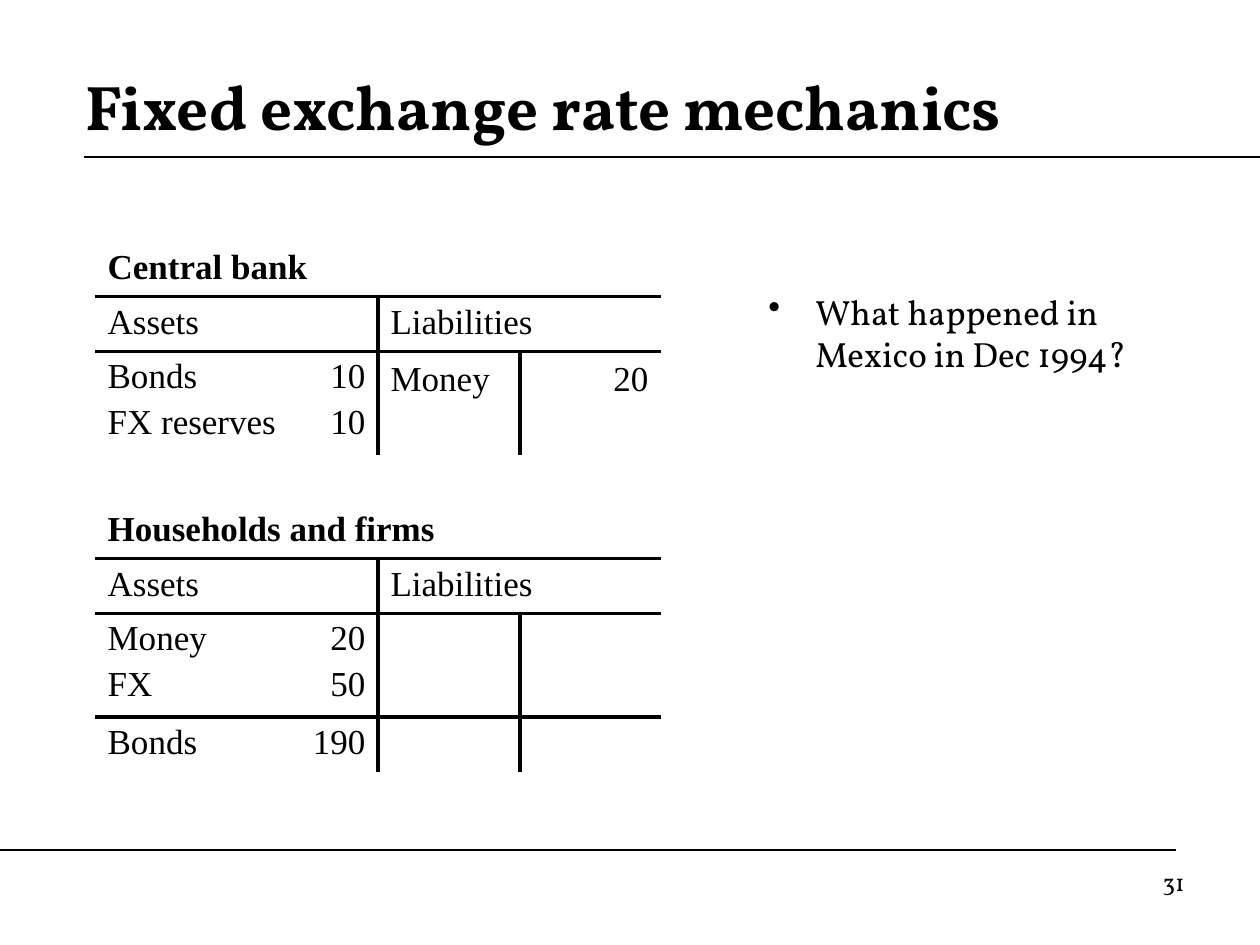
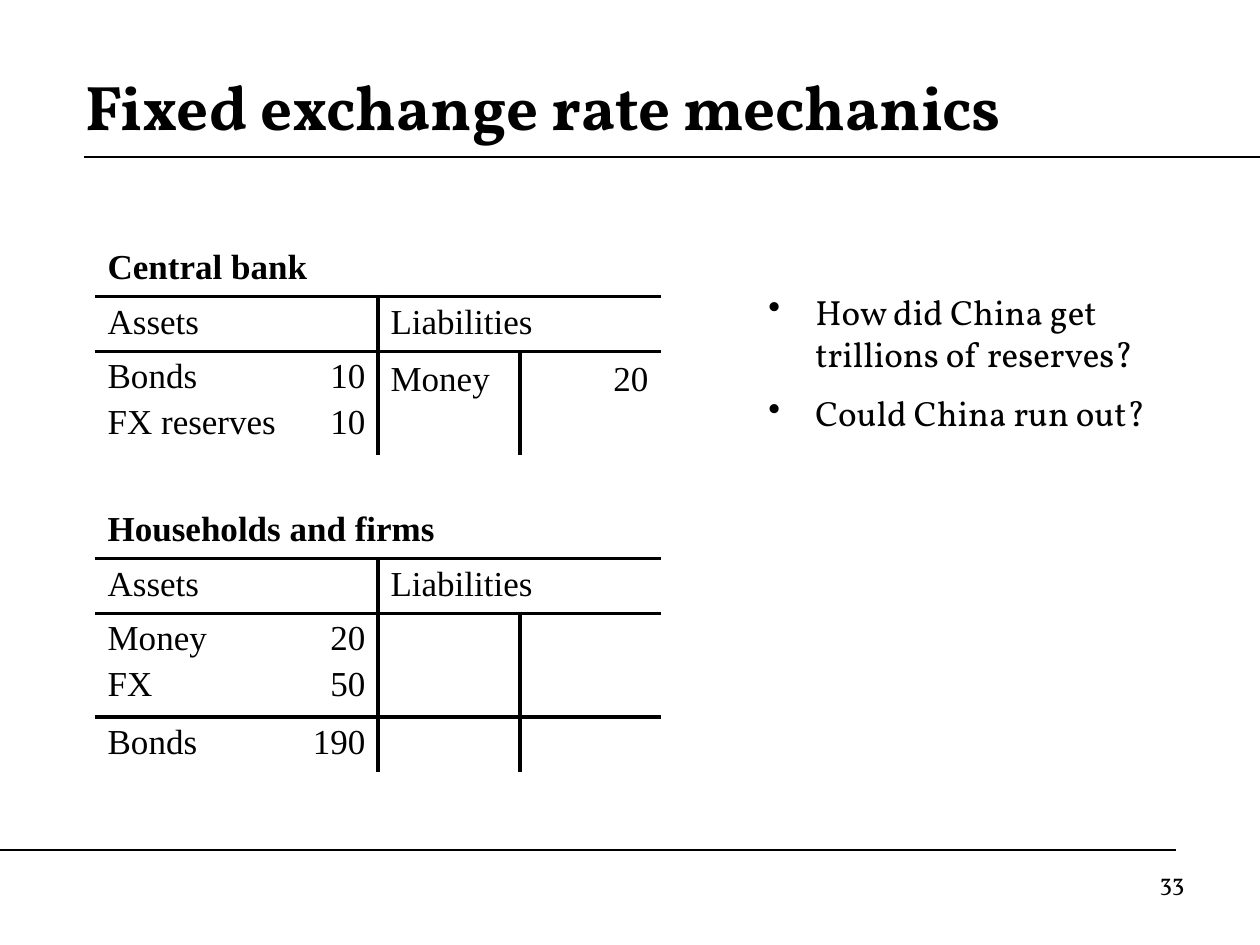
from dataclasses import dataclass

from lxml import etree
from pptx import Presentation
from pptx import util as u
from pptx.dml.color import RGBColor
from pptx.enum import shapes, text
from pptx.oxml.ns import qn

PX_PER_INCH = 126
COLORS = {"ink": "000000", "paper": "FFFFFF"}
HEADING_FONT = "Vollkorn"
LEDGER_FONT = "Times New Roman"
NO_GRID_STYLE = "{2D5ABB26-0587-4C30-8999-92F81FD0307C}"
HEADER_ROWS = 2
ROW_HEIGHT = 51
LINE_STEP = 46
LIABILITY_COLUMN = 2
LIABILITY_TOP_MARGIN = 9


@dataclass(frozen=True)
class Box:
    left: int
    top: int
    width: int
    height: int


@dataclass(frozen=True)
class Rule:
    start: int
    end: int
    y: int


@dataclass(frozen=True)
class TAccount:
    """A balance sheet; each body row holds four cells, one tuple of lines each."""
    holder: str
    top: int
    columns: tuple[int, ...]
    body: tuple[tuple[tuple[str, ...], ...], ...]


@dataclass(frozen=True)
class Lesson:
    number: int
    questions: tuple[str, ...]


TITLE = "Fixed exchange rate mechanics"
TITLE_BOX = Box(73, 53, 1092, 105)
NUMBER_BOX = Box(903, 861, 294, 66)
QUESTIONS_BOX = Box(756, 284, 431, 483)
QUESTION_INDENT = 47
ACCOUNT_LEFT = 95
TITLE_Y, FOOTER_Y = 157, 850
RULES = (
    Rule(84, 1260, TITLE_Y),
    Rule(0, 1176, FOOTER_Y),
    Rule(157, 1260, TITLE_Y),
    Rule(0, 892, FOOTER_Y),
)
ACCOUNTS = (
    TAccount("Central bank", 242, (210, 73, 142, 141), (
        (("Bonds", "FX reserves"), ("10", "10"), ("Money",), ("20",)),
    )),
    TAccount("Households and firms", 504, (186, 97, 142, 141), (
        (("Money", "FX"), ("20", "50"), (), ()),
        (("Bonds",), ("190",), (), ()),
    )),
)
LESSONS = (
    Lesson(31, ("What happened in Mexico in Dec 1994?",)),
    Lesson(33, ("How did China get trillions of reserves?", "Could China run out?")),
)


def px(length: int) -> u.Emu:
    return u.Emu(round(length * 914400 / PX_PER_INCH))


def write_lines(frame, lines, font: str, size: int, bold: bool = False,
                align=text.PP_ALIGN.LEFT, gap: int = 0) -> None:
    """Fill a text frame, one paragraph a line, with a gap in points between them."""
    frame.text = "\n".join(lines)
    for index, paragraph in enumerate(frame.paragraphs):
        paragraph.alignment = align
        if index:
            paragraph.space_before = u.Pt(gap)
        for run in paragraph.runs:
            run.font.name = font
            run.font.size = u.Pt(size)
            run.font.bold = bold
            run.font.color.rgb = RGBColor.from_string(COLORS["ink"])


def add_text_frame(slide, box: Box):
    frame = slide.shapes.add_textbox(
        px(box.left), px(box.top), px(box.width), px(box.height)).text_frame
    frame.word_wrap = True
    return frame


def draw_rule(slide, rule: Rule) -> None:
    line = slide.shapes.add_connector(
        shapes.MSO_CONNECTOR.STRAIGHT,
        px(rule.start), px(rule.y), px(rule.end), px(rule.y))
    line.line.color.rgb = RGBColor.from_string(COLORS["ink"])
    line.line.width = u.Pt(0.75)
    etree.SubElement(line._element.spPr, qn("a:effectLst"))


def set_borders(cell, sides: list[str]) -> None:
    """Draw the given sides (L, R, T, B); the schema wants them in that order."""
    properties = cell._tc.get_or_add_tcPr()
    for position, side in enumerate(sides):
        edge = etree.Element(qn(f"a:ln{side}"), w=str(u.Pt(2.25)))
        fill = etree.SubElement(edge, qn("a:solidFill"))
        etree.SubElement(fill, qn("a:srgbClr"), val=COLORS["ink"])
        properties.insert(position, edge)


def account_sides(row: int, column: int) -> list[str]:
    """The T shape: a line under both header rows and one down the middle."""
    ends_assets = column == 1 or (row == 1 and column == 0)
    drawn = {
        "L": row > 0 and column == LIABILITY_COLUMN,
        "R": row > 0 and ends_assets,
        "T": 0 < row <= HEADER_ROWS,
        "B": row < HEADER_ROWS,
    }
    return [side for side, shown in drawn.items() if shown]


def draw_account(slide, account: TAccount) -> None:
    headers = (((account.holder,), (), (), ()),
               (("Assets",), (), ("Liabilities",), ()))
    rows = headers + account.body
    heights = [ROW_HEIGHT + LINE_STEP * (max(map(len, row)) - 1) for row in rows]
    table = slide.shapes.add_table(
        len(rows), len(account.columns), px(ACCOUNT_LEFT), px(account.top),
        px(sum(account.columns)), px(sum(heights))).table
    table.first_row = table.horz_banding = False
    table._tbl.tblPr.find(qn("a:tableStyleId")).text = NO_GRID_STYLE
    for column, width in zip(table.columns, account.columns):
        column.width = px(width)
    for row, height in zip(table.rows, heights):
        row.height = px(height)

    for r, row in enumerate(rows):
        for c, lines in enumerate(row):
            cell = table.cell(r, c)
            is_amount = r >= HEADER_ROWS and c % 2 == 1
            write_lines(cell.text_frame, lines, LEDGER_FONT, 20, bold=r == 0, gap=4,
                        align=text.PP_ALIGN.RIGHT if is_amount else text.PP_ALIGN.LEFT)
            cell.vertical_anchor = text.MSO_ANCHOR.TOP
            if r >= HEADER_ROWS and c >= LIABILITY_COLUMN:
                cell.margin_top = px(LIABILITY_TOP_MARGIN)
            cell.fill.background()
            set_borders(cell, account_sides(r, c))
    for r, first, last in ((0, 0, 3), (1, 0, 1), (1, 2, 3)):
        table.cell(r, first).merge(table.cell(r, last))


def draw_questions(slide, questions: tuple[str, ...]) -> None:
    frame = add_text_frame(slide, QUESTIONS_BOX)
    write_lines(frame, questions, HEADING_FONT, 20, gap=10)
    for paragraph in frame.paragraphs:
        properties = paragraph._p.get_or_add_pPr()
        properties.set("marL", str(px(QUESTION_INDENT)))
        properties.set("indent", str(-px(QUESTION_INDENT)))
        etree.SubElement(properties, qn("a:buChar"), char="•")


def draw_lesson(deck, lesson: Lesson) -> None:
    slide = deck.slides.add_slide(deck.slide_layouts[6])
    slide.background.fill.solid()
    slide.background.fill.fore_color.rgb = RGBColor.from_string(COLORS["paper"])
    for rule in RULES:
        draw_rule(slide, rule)
    write_lines(add_text_frame(slide, NUMBER_BOX), [str(lesson.number)],
                HEADING_FONT, 14, align=text.PP_ALIGN.RIGHT)
    title = add_text_frame(slide, TITLE_BOX)
    title.vertical_anchor = text.MSO_ANCHOR.MIDDLE
    write_lines(title, [TITLE], HEADING_FONT, 36, bold=True)
    for account in ACCOUNTS:
        draw_account(slide, account)
    draw_questions(slide, lesson.questions)


def main() -> None:
    deck = Presentation()
    deck.slide_width, deck.slide_height = px(1260), px(945)
    for lesson in LESSONS:
        draw_lesson(deck, lesson)
    deck.save("out.pptx")


if __name__ == "__main__":
    main()
